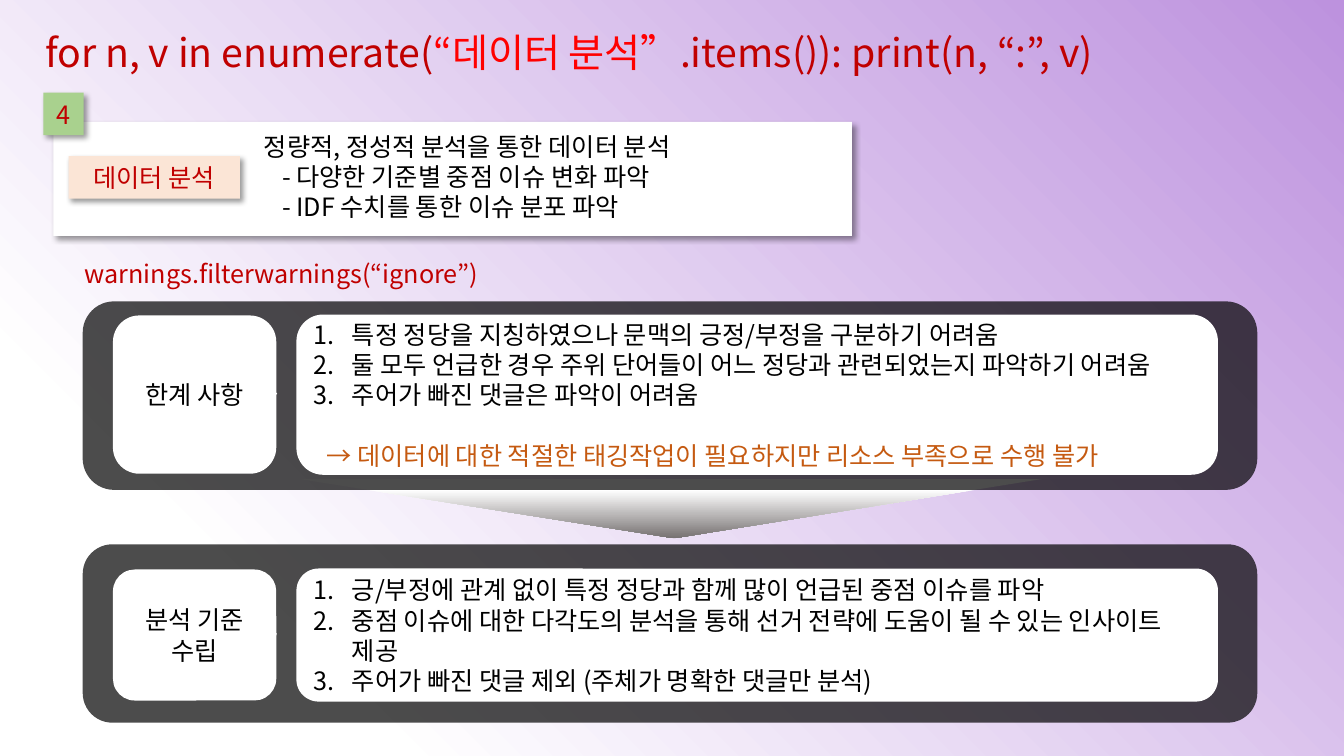
import pptx
import pptx.util
import pptx.dml.color
import pptx.enum.shapes
import pptx.enum.text
import pptx.oxml
import pptx.oxml.ns

Inches = pptx.util.Inches
Pt = pptx.util.Pt
RGBColor = pptx.dml.color.RGBColor
Form = pptx.enum.shapes.MSO_SHAPE
Align = pptx.enum.text.PP_ALIGN
Anchor = pptx.enum.text.MSO_ANCHOR
qn = pptx.oxml.ns.qn

FONT = "Noto Sans CJK KR"
BLACK = RGBColor(0x00, 0x00, 0x00)
WHITE = RGBColor(0xFF, 0xFF, 0xFF)
WINE = RGBColor(0xC0, 0x00, 0x00)
RED = RGBColor(0xFF, 0x00, 0x00)
RUST = RGBColor(0xC5, 0x5A, 0x11)
PEACH = RGBColor(0xFB, 0xE5, 0xD6)
GREEN = RGBColor(0xA9, 0xD1, 0x8E)
LILAC = RGBColor(0xBD, 0x92, 0xDE)
GREY = RGBColor(0x76, 0x71, 0x71)


def make_xml(text):
    return pptx.oxml.parse_xml(text.replace(
        ">", f' {pptx.oxml.ns.nsdecls("a")}>', 1))


def fade(parent, color, angle):
    stops = "".join(
        f'<a:gs pos="{place * 1000}"><a:srgbClr val="{tone}"/></a:gs>'
        for place, tone in ((0, WHITE), (19, WHITE), (100, color)))
    solid = parent.find(qn("a:solidFill"))
    parent.replace(solid, make_xml(
        f'<a:gradFill rotWithShape="1"><a:gsLst>{stops}</a:gsLst>'
        f'<a:lin ang="{angle * 60000}" scaled="0"/></a:gradFill>'))


def cast(shape):
    props = shape._element.spPr
    props.replace(props.find(qn("a:effectLst")), make_xml(
        f'<a:effectLst><a:outerShdw blurRad="{Pt(4)}" dist="{Pt(3)}" '
        'dir="2700000" algn="tl" rotWithShape="0"><a:srgbClr val="000000">'
        '<a:alpha val="40000"/></a:srgbClr></a:outerShdw></a:effectLst>'))


def place(shape, box):
    shape.left, shape.top, shape.width, shape.height = map(Inches, box)


def add_run(para, text, color, size=18):
    run = para.add_run()
    run.text = text
    run.font.size = Pt(size)
    run.font.name = FONT
    run.font.color.rgb = color
    run._r.get_or_add_rPr().append(
        make_xml(f'<a:ea typeface="{FONT}"></a:ea>'))


def write(frame, lines, size=18, align=Align.LEFT, anchor=Anchor.TOP):
    frame.word_wrap = True
    frame.auto_size = pptx.enum.text.MSO_AUTO_SIZE.NONE
    frame.vertical_anchor = anchor
    for rank, runs in enumerate(lines):
        para = frame.add_paragraph() if rank else frame.paragraphs[0]
        para.alignment = align
        para.line_spacing = Pt(size * 1.2)
        para.space_before = Pt(0)
        for text, color in runs:
            add_run(para, text, color, size)
    return frame.paragraphs


def indent(para, left, hang, bullet):
    props = para._p.get_or_add_pPr()
    props.set("marL", str(Inches(left)))
    props.set("indent", str(-Inches(hang)))
    props.append(make_xml(bullet))


def add_form(slide, form, box, color, shade=False):
    shape = slide.shapes.add_shape(form, *map(Inches, box))
    shape.shadow.inherit = False
    shape.fill.solid()
    shape.fill.fore_color.rgb = color
    shape.line.fill.background()
    if shade:
        cast(shape)
    return shape


def add_label(slide, form, box, fill, lines, color, shade=False):
    shape = add_form(slide, form, box, fill, shade)
    write(shape.text_frame, [[(line, color)] for line in lines],
          align=Align.CENTER, anchor=Anchor.MIDDLE)


def add_text(slide, box, lines):
    shape = slide.shapes.add_textbox(*map(Inches, box))
    return write(shape.text_frame, lines)


def add_arrow(slide):
    arrow = add_form(slide, Form.ISOSCELES_TRIANGLE,
                     (2.95, 4.75, 7.4, 0.59), WHITE)
    arrow.adjustments[0] = 0.505
    props = arrow._element.spPr
    props.find(qn("a:xfrm")).set("flipV", "1")
    fade(props, GREY, 270)


def add_link(slide, start, end):
    link = slide.shapes.add_connector(
        pptx.enum.shapes.MSO_CONNECTOR.STRAIGHT, *map(Inches, start + end))
    link.line.color.rgb = WHITE
    link.line.width = Pt(2.25)
    link._element.spPr.append(make_xml("<a:effectLst></a:effectLst>"))


def add_panel(slide, body, top, height, card, label, items, note=None):
    back = add_form(slide, Form.ROUNDED_RECTANGLE,
                    (0.82, top, 11.65, height), BLACK)
    tone = back._element.spPr.find(qn("a:solidFill"))[0]
    tone.append(make_xml('<a:alpha val="70000"></a:alpha>'))
    y, tall, rise = card
    mid = y + tall / 2
    add_link(slide, (2.74, mid), (2.16, mid - rise))
    add_label(slide, Form.ROUNDED_RECTANGLE, (1.12, y + 0.01, 1.62, tall - 0.02),
              WHITE, label, BLACK)
    box = (2.94, y, 9.14, tall)
    add_form(slide, Form.ROUNDED_RECTANGLE, box, WHITE)

    place(body, box)
    slide.shapes._spTree.append(body._element)
    frame = body.text_frame
    frame.margin_left = frame.margin_right = Inches(0.17)
    frame.margin_top = frame.margin_bottom = 0
    lines = [[(item, BLACK)] for item in items]
    if note:
        lines.append([(note, RUST)])
    paras = write(frame, lines, anchor=Anchor.MIDDLE)
    for para in paras[:len(items)]:
        indent(para, 0.38, 0.38,
               '<a:buFont typeface="+mj-lt"></a:buFont>')
        para._p.pPr.append(make_xml(
            '<a:buAutoNum type="arabicPeriod"></a:buAutoNum>'))
    if note:
        paras[-1].space_before = Pt(21.6)
        indent(paras[-1], 0.13, 0, "<a:buNone></a:buNone>")


def main():
    deck = pptx.Presentation()
    deck.slide_width, deck.slide_height = Inches(13.33), Inches(7.5)
    slide = deck.slides.add_slide(deck.slide_layouts[3])
    title, limits, rules = slide.placeholders
    slide.background.fill.solid()
    fade(slide.background._cSld.bg.bgPr, LILAC, 315)

    add_arrow(slide)
    place(title, (0.35, 0.23, 10.94, 0.57))
    write(title.text_frame, [[
        ("for n, v in enumerate(", WINE), ("“데이터 분석”", RED),
        (".items()): print(n, “:”, v)", WINE)]], size=28)

    add_form(slide, Form.RECTANGLE, (0.53, 1.21, 7.92, 1.13), WHITE, True)
    goals = add_text(slide, (2.52, 1.25, 5.43, 1.01), [
        [("정량적, 정성적 분석을 통한 데이터 분석", BLACK)],
        [("- 다양한 기준별 중점 이슈 변화 파악", BLACK)],
        [("- IDF 수치를 통한 이슈 분포 파악", BLACK)]])
    for para in goals[1:]:
        indent(para, 0.18, 0, "<a:buNone></a:buNone>")
    add_label(slide, Form.RECTANGLE, (0.68, 1.55, 1.7, 0.42),
              PEACH, ["데이터 분석"], WINE, True)
    add_label(slide, Form.RECTANGLE, (0.43, 0.92, 0.4, 0.42),
              GREEN, ["4"], WINE, True)

    add_text(slide, (0.74, 2.51, 10.94, 0.4),
             [[("warnings.filterwarnings(“ignore”)", WINE)]])
    add_panel(slide, limits, 2.99, 1.87, (3.12, 1.59, 0.42), ["한계 사항"], [
        "특정 정당을 지칭하였으나 문맥의 긍정/부정을 구분하기 어려움",
        "둘 모두 언급한 경우 주위 단어들이 어느 정당과 관련되었는지 파악하기 어려움",
        "주어가 빠진 댓글은 파악이 어려움"],
        "→ 데이터에 대한 적절한 태깅작업이 필요하지만 리소스 부족으로 수행 불가")
    add_panel(slide, rules, 5.4, 1.77, (5.64, 1.32, 0.28), ["분석 기준", "수립"], [
        "긍/부정에 관계 없이 특정 정당과 함께 많이 언급된 중점 이슈를 파악",
        "중점 이슈에 대한 다각도의 분석을 통해 선거 전략에 도움이 될 수 있는 인사이트 제공",
        "주어가 빠진 댓글 제외 (주체가 명확한 댓글만 분석)"])
    deck.save("out.pptx")


if __name__ == "__main__":
    main()
